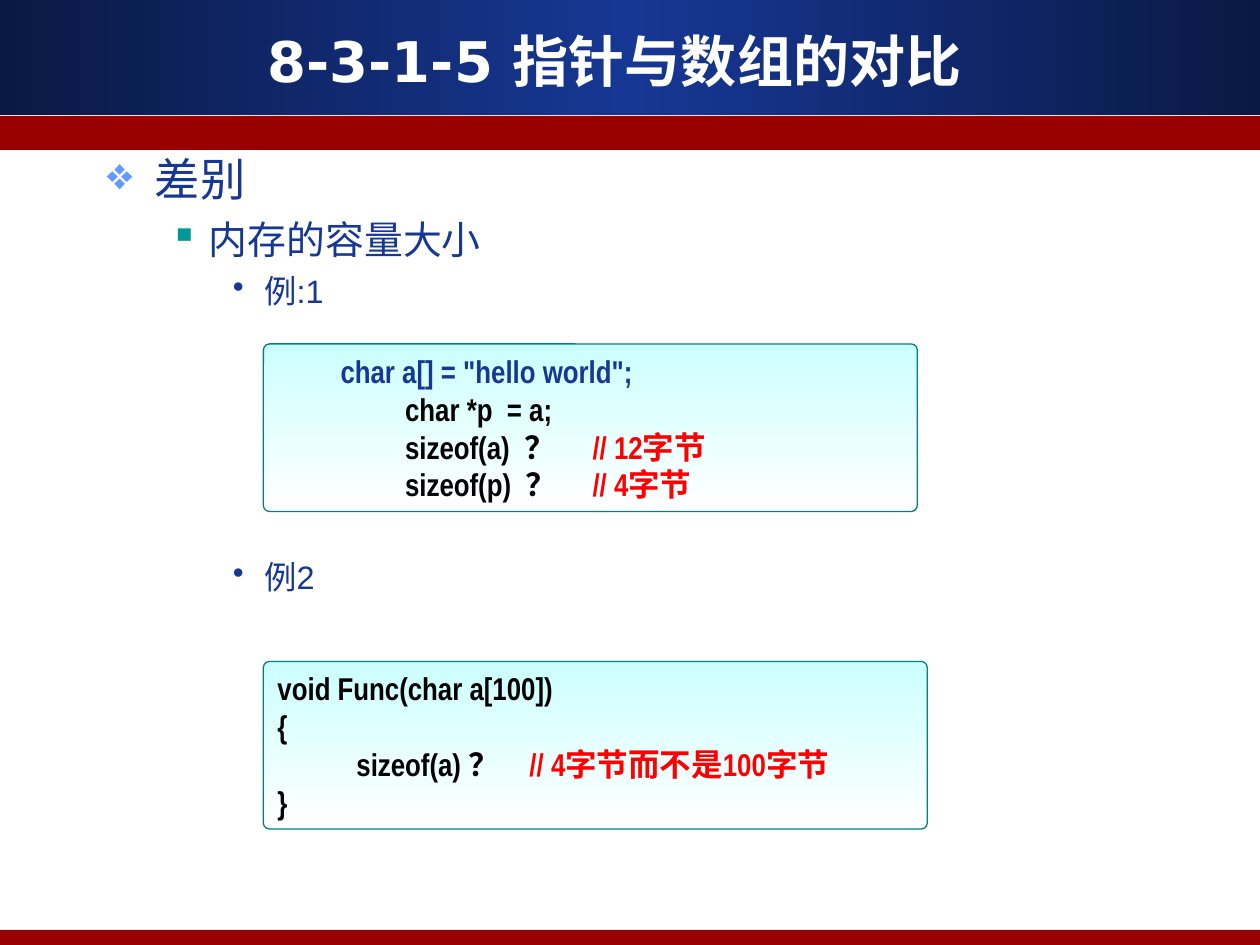
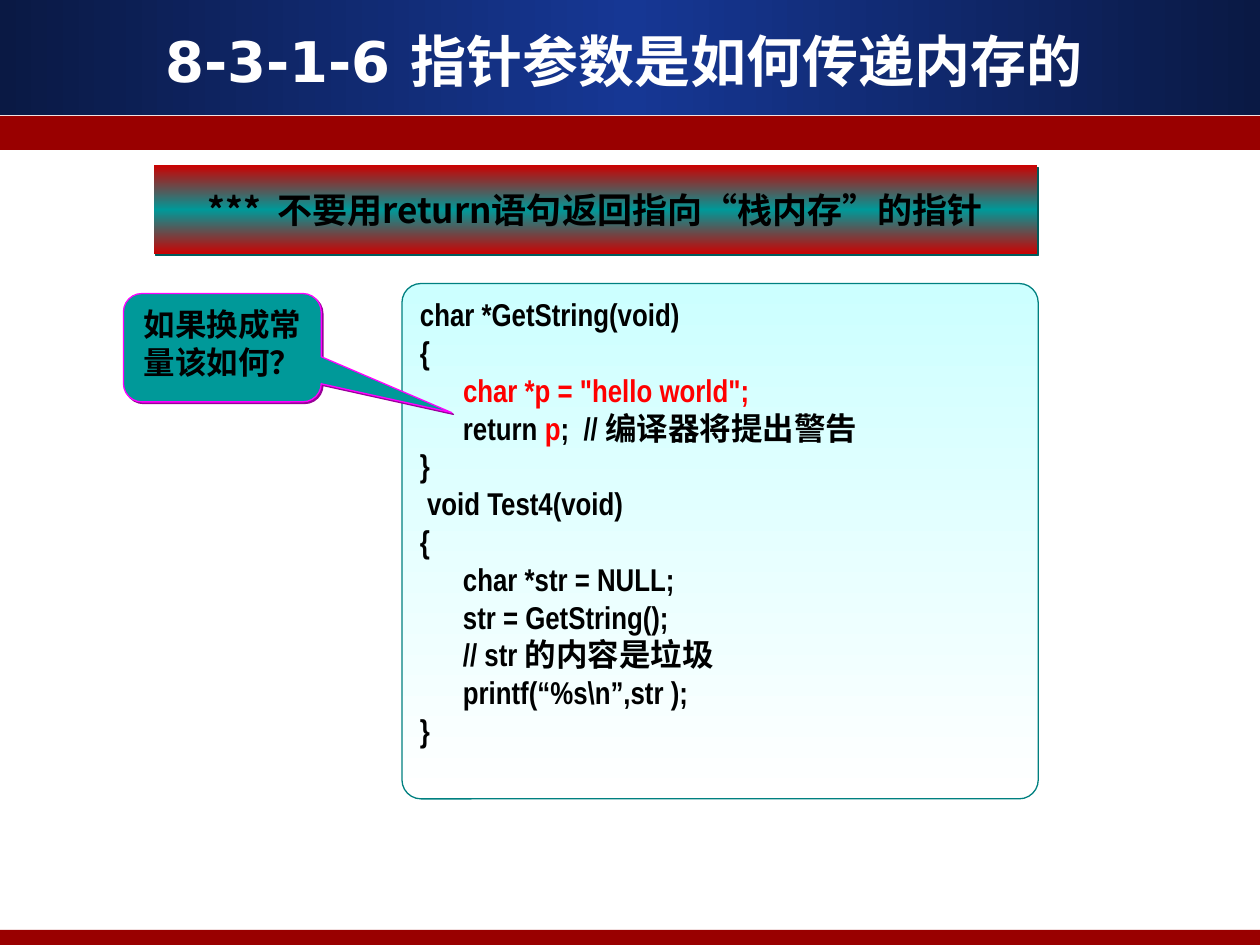
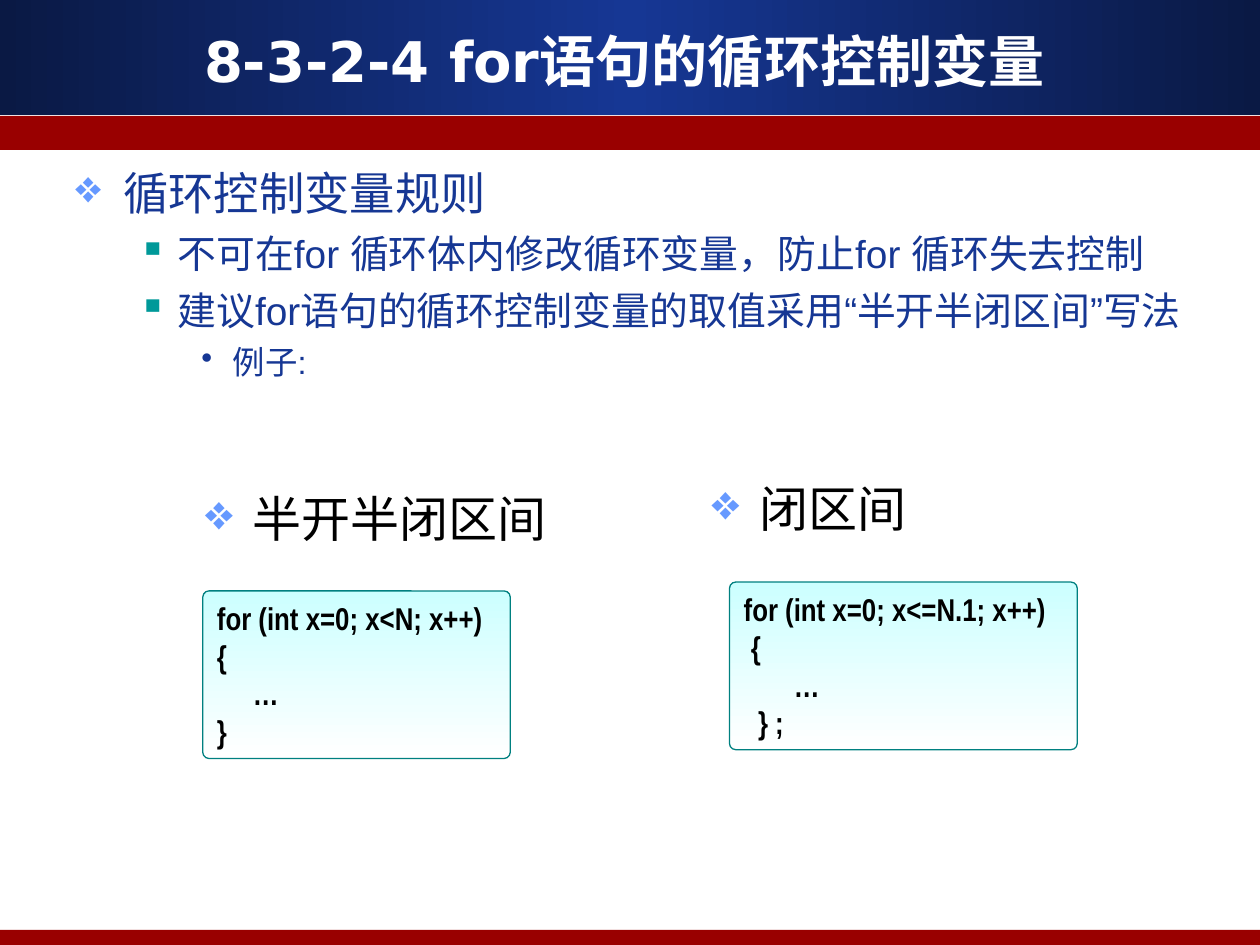
from dataclasses import dataclass

from pptx import Presentation
from pptx.dml.color import RGBColor
from pptx.enum.shapes import MSO_SHAPE
from pptx.enum.text import MSO_ANCHOR, PP_ALIGN
from pptx.oxml.ns import qn
from pptx.oxml.xmlchemy import OxmlElement
from pptx.util import Inches, Pt

RECT = MSO_SHAPE.RECTANGLE
ROUND = MSO_SHAPE.ROUNDED_RECTANGLE
CALLOUT = MSO_SHAPE.ROUNDED_RECTANGULAR_CALLOUT
TOP, MIDDLE = MSO_ANCHOR.TOP, MSO_ANCHOR.MIDDLE
LEFT, CENTER = PP_ALIGN.LEFT, PP_ALIGN.CENTER
ACROSS, DOWN = 0, 270  # gradient angles, counter-clockwise

COLS, ROWS, CELL = 100, 75, 0.1  # grid of 0.1 inch cells


@dataclass(frozen=True)
class Theme:
    navy: str = "163794"
    dark_navy: str = "0A1944"
    maroon: str = "990000"
    red: str = "CC0000"
    teal: str = "009999"
    frame: str = "008080"
    ice: str = "CCFFFF"
    white: str = "FFFFFF"
    black: str = "000000"
    hot: str = "FF0000"
    magenta: str = "FF00FF"
    sky: str = "6699FF"
    teal_shadow: str = "005C5C"
    magenta_shadow: str = "990099"
    title_font: str = "DejaVu Sans"
    body_font: str = "Arial"
    code_font: str = "Arial Narrow"
    banner_font: str = "Noto Sans CJK SC"
    title_size: float = 32
    heading_size: float = 28
    banner_size: float = 20
    code_size: float = 18


T = Theme()
TITLE = {"name": T.title_font, "size": Pt(T.title_size), "bold": True}
CODE = {"name": T.code_font, "size": Pt(T.code_size), "bold": True}
BANNER = {"name": T.banner_font, "size": Pt(T.banner_size), "bold": True}

# level: (bullet, bullet colour, text size, left margin, hanging, space before)
LEVELS = [
    ("❖", T.sky, 25.9, 0.38, 0.38, 7),
    ("▪", T.teal, 22.2, 0.81, 0.31, 6),
    ("•", T.navy, 18.5, 1.25, 0.25, 5),
]


def cells(*values):
    return [Inches(v * CELL) for v in values]


def child(parent, tag, **attrs):
    el = OxmlElement(tag)
    for key, value in attrs.items():
        el.set(key, str(value))
    parent.append(el)
    return el


def set_gradient(sp, colors, angle):
    """Spread the colours evenly along the angle."""
    sp.fill.gradient()
    sp.fill.gradient_angle = angle
    stops = sp._element.spPr.find(qn("a:gradFill")).find(qn("a:gsLst"))
    for gs in list(stops):
        stops.remove(gs)
    for i, color in enumerate(colors):
        gs = child(stops, "a:gs", pos=100000 * i // (len(colors) - 1))
        child(gs, "a:srgbClr", val=color)


def set_shadow(sp, color):
    effects = sp._element.spPr.find(qn("a:effectLst"))
    shadow = child(effects, "a:outerShdw", dist=Pt(1.4), dir=45 * 60000,
                   algn="ctr", rotWithShape=0)
    child(shadow, "a:srgbClr", val=color)


def add_box(slide, kind, at, fill, angle=DOWN, line=None, adj=(), shadow=None):
    """Add a preset shape; a tuple as fill makes a gradient."""
    sp = slide.shapes.add_shape(kind, *cells(*at))
    sp.shadow.inherit = False
    for i, value in enumerate(adj):
        sp.adjustments[i] = value
    if isinstance(fill, tuple):
        set_gradient(sp, fill, angle)
    else:
        sp.fill.solid()
        sp.fill.fore_color.rgb = RGBColor.from_string(fill)
    if line:
        sp.line.color.rgb = RGBColor.from_string(line)
        sp.line.width = Pt(0.75)
    else:
        sp.line.fill.background()
    if shadow:
        set_shadow(sp, shadow)
    return sp


def set_frame(sp, anchor=TOP, wrap=True):
    tf = sp.text_frame
    tf.word_wrap = wrap
    tf.vertical_anchor = anchor
    return tf


def add_run(p, text, color, style):
    r = p.add_run()
    r.text = text
    for key, value in style.items():
        setattr(r.font, key, value)
    r.font.color.rgb = RGBColor.from_string(color)
    ea = OxmlElement("a:ea")
    ea.set("typeface", style["name"])
    r._r.rPr.find(qn("a:latin")).addnext(ea)


def paragraphs(tf, items):
    """Yield one paragraph for each item, starting with the existing one."""
    for i, item in enumerate(items):
        yield (tf.add_paragraph() if i else tf.paragraphs[0]), item


def write_line(sp, text, color, style, anchor=MIDDLE, wrap=True):
    p = set_frame(sp, anchor, wrap).paragraphs[0]
    p.alignment = CENTER
    add_run(p, text, color, style)


def add_code(slide, at, lines, indent=0, tab=None):
    """Code panel; a line is a string or a list of (text, colour) runs."""
    sp = add_box(slide, ROUND, at, (T.ice, T.white), line=T.frame, adj=[0.037])
    for p, line in paragraphs(set_frame(sp), lines):
        p.alignment = LEFT
        pPr = p._p.get_or_add_pPr()
        pPr.set("marL", str(Inches(indent)))
        pPr.set("indent", "0")
        if tab:
            child(child(pPr, "a:tabLst"), "a:tab", pos=Inches(tab), algn="l")
        runs = [(line, T.black)] if isinstance(line, str) else line
        for text, color in runs:
            add_run(p, text, color, CODE)


def add_bullets(slide, at, items, color=T.navy, size=None):
    """Bulleted text; an item is (level, text) or (level, text, space before)."""
    tf = set_frame(slide.shapes.add_textbox(*cells(*at)))
    for p, (level, text, *space) in paragraphs(tf, items):
        bullet, bullet_color, level_size, margin, hanging, before = LEVELS[level]
        first = p._p is tf.paragraphs[0]._p
        p.space_before = Pt(0 if first else space[0] if space else before)
        pPr = p._p.get_or_add_pPr()
        pPr.set("lvl", str(level))
        pPr.set("marL", str(Inches(margin)))
        pPr.set("indent", str(-Inches(hanging)))
        child(child(pPr, "a:buClr"), "a:srgbClr", val=bullet_color)
        child(pPr, "a:buChar", char=bullet)
        add_run(p, text, color, {"name": T.body_font, "size": Pt(size or level_size)})


def add_slide(prs, title):
    """Slide with the title band, the red stripe and the footer stripe."""
    slide = prs.slides.add_slide(prs.slide_layouts[6])
    add_box(slide, RECT, (0, 0, COLS, 9.1), (T.dark_navy, T.navy, T.dark_navy), ACROSS)
    for top, height in ((9.2, 2.7), (ROWS - 1.2, 1.2)):
        add_box(slide, RECT, (0, top, COLS, height), T.maroon)
    write_line(slide.shapes.add_textbox(*cells(3.3, 1.7, 92.5, 6.2)),
               title, T.white, TITLE)
    return slide


def add_comparison(prs):
    slide = add_slide(prs, "8-3-1-5 指针与数组的对比 ")
    add_bullets(slide, (7.5, 11.5, 44.1, 37.8), [
        (0, "差别"),
        (1, "内存的容量大小"),
        (2, "例:1"),
        (2, "例2", 141),
    ])
    add_code(slide, (20.9, 27.3, 51.9, 13.3), [
        [('char a[] = "hello world";', T.navy)],
        "         char *p  = a;",
        [("         sizeof(a)  ？\t", T.black), ("// 12字节", T.hot)],
        [("         sizeof(p)  ？\t", T.black), ("// 4字节", T.hot)],
    ], indent=0.5, tab=2)
    add_code(slide, (20.9, 52.5, 52.7, 13.3), [
        "void Func(char a[100])",
        "{",
        [("           sizeof(a) ？\t", T.black), ("// 4字节而不是100字节", T.hot)],
        "}",
    ], tab=2.28)


def add_memory_passing(prs):
    slide = add_slide(prs, "8-3-1-6 指针参数是如何传递内存的")
    banner = add_box(slide, RECT, (12.2, 13.1, 70.1, 7.1),
                     (T.red, T.teal, T.red), shadow=T.teal_shadow)
    write_line(banner, "***  不要用return语句返回指向“栈内存”的指针",
               T.black, BANNER, wrap=False)
    add_code(slide, (31.9, 22.5, 50.5, 40.9), [
        "char *GetString(void)",
        "{",
        [("      ", T.black), ('char *p = "hello world";', T.hot)],
        [("      return", T.black), (" p", T.hot), (";  // 编译器将提出警告", T.black)],
        "}",
        " void Test4(void)",
        "{",
        "      char *str = NULL;",
        "      str = GetString();",
        "      // str 的内容是垃圾",
        "      printf(“%s\\n”,str );",
        "}",
    ])
    question = add_box(slide, CALLOUT, (9.8, 23.3, 15.7, 8.6), T.teal, line=T.magenta,
                       adj=(1.16, 0.6, 0.17), shadow=T.magenta_shadow)
    write_line(question, "如果换成常量该如何？", T.black, CODE, anchor=TOP)


def add_loop_control(prs):
    slide = add_slide(prs, "8-3-2-4 for语句的循环控制变量")
    add_bullets(slide, (5, 12.6, 90, 21.5), [
        (0, "循环控制变量规则"),
        (1, "不可在for 循环体内修改循环变量，防止for 循环失去控制"),
        (1, "建议for语句的循环控制变量的取值采用“半开半闭区间”写法"),
        (2, "例子:"),
    ])
    examples = [
        ("半开半闭区间", (15.3, 38.3, 34.7, 5.5), (16.1, 46.9, 24.4, 13.3),
         ["for (int x=0; x<N; x++)", "{", "     …", "}"]),
        ("闭区间", (55.5, 37.5, 41.7, 5.5), (57.9, 46.2, 27.6, 13.3),
         ["for (int x=0; x<=N.1; x++)", " {", "       …", "  } ;"]),
    ]
    for heading, heading_at, code_at, lines in examples:
        add_bullets(slide, heading_at, [(0, heading)], T.black, T.heading_size)
        add_code(slide, code_at, lines)


def main():
    prs = Presentation()
    prs.slide_width, prs.slide_height = cells(COLS, ROWS)
    add_comparison(prs)
    add_memory_passing(prs)
    add_loop_control(prs)
    prs.save("out.pptx")


if __name__ == "__main__":
    main()
